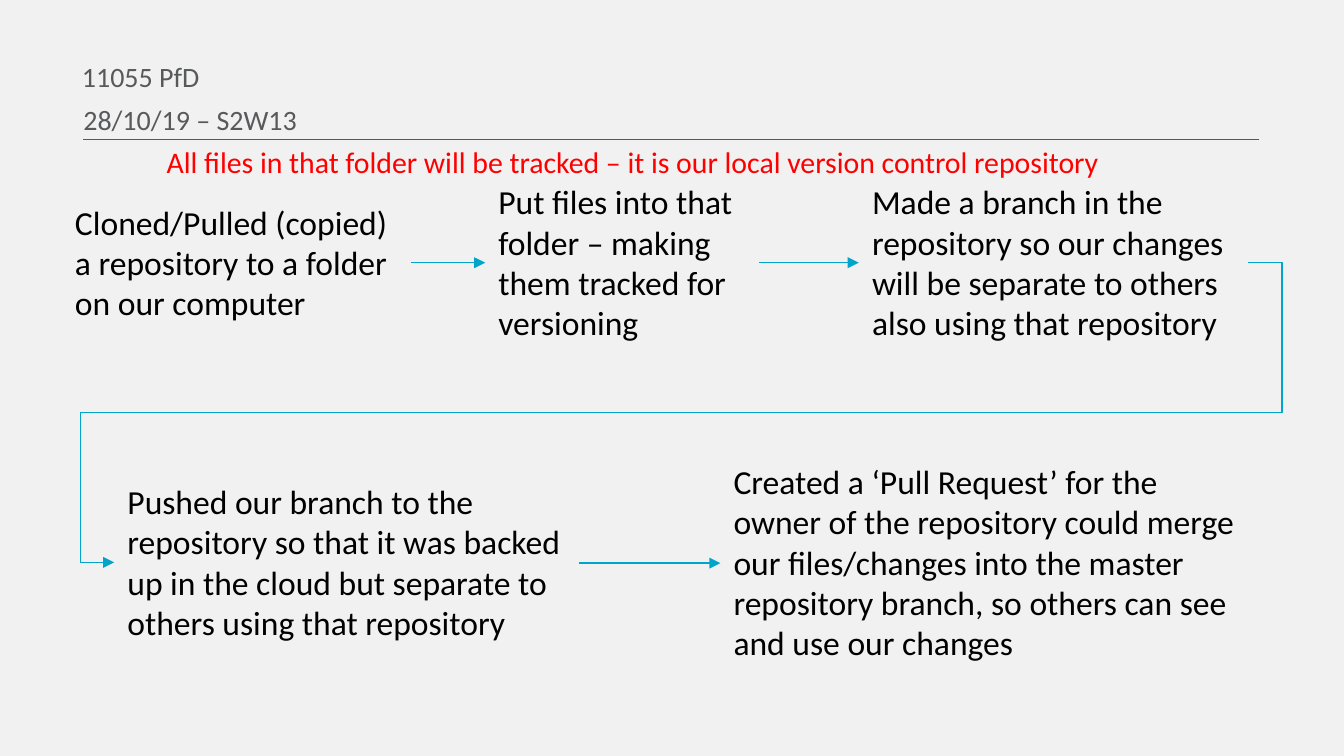
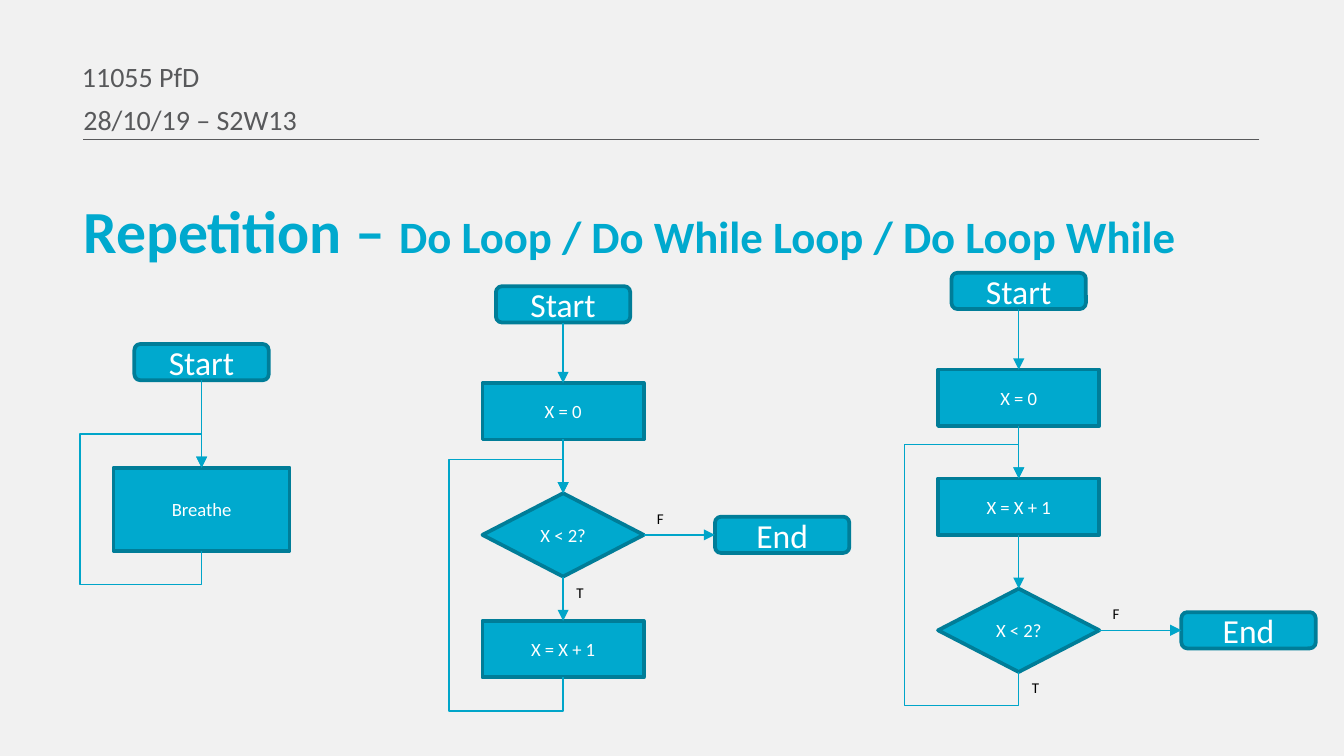
from dataclasses import dataclass

from lxml import etree
from pptx import Presentation
from pptx.dml.color import RGBColor
from pptx.enum import shapes, text
from pptx.oxml import ns
from pptx.util import Inches, Pt


@dataclass(frozen=True)
class Theme:
    font: str = "Calibri"
    back: str = "F1F1F1"
    gray: str = "58595B"
    ink: str = "000000"
    red: str = "FF0000"
    white: str = "FFFFFF"
    fill: str = "00A9CE"
    edge: str = "007D98"
    wire: str = "00A5C9"
    head: int = 15
    note: int = 16
    step: int = 18
    title: int = 32
    sub: int = 24
    node: int = 10
    tag: int = 8
    thin: float = 0.75
    thick: float = 2


THEME = Theme()
STUB = 0.25
KINDS = shapes.MSO_SHAPE


@dataclass(frozen=True)
class Box:
    left: float
    top: float
    width: float
    height: float

    @property
    def right(self) -> float:
        return self.left + self.width

    @property
    def base(self) -> float:
        return self.top + self.height

    @property
    def mid(self) -> float:
        return self.top + self.height / 2

    @property
    def area(self) -> list:
        return [Inches(n) for n in (self.left, self.top, self.width, self.height)]


@dataclass(frozen=True)
class Span:
    words: str
    size: int
    color: str
    bold: bool = False


@dataclass(frozen=True)
class Form:
    kind: int
    width: float
    height: float
    size: int


PILL = Form(KINDS.ROUNDED_RECTANGLE, 1, 0.27, THEME.step)
TASK = Form(KINDS.RECTANGLE, 1.2, 0.42, THEME.node)
WIDE = Form(KINDS.RECTANGLE, 1.31, 0.62, THEME.node)
TEST = Form(KINDS.DIAMOND, 1.2, 0.62, THEME.node)


@dataclass(frozen=True)
class Node:
    words: str
    top: float
    form: Form


@dataclass(frozen=True)
class Flow:
    axis: float
    nodes: tuple
    back: int
    exit: float = 0


STEPS = (
    (Box(0.46, 1.45, 2.6, 1.01),
     "Cloned/Pulled (copied) a repository to a folder on our computer"),
    (Box(3.61, 1.3, 2.04, 1.31),
     "Put files into that folder – making them tracked for versioning"),
    (Box(6.39, 1.3, 2.9, 1.31),
     "Made a branch in the repository so our changes will be separate "
     "to others also using that repository"),
    (Box(0.85, 3.53, 3.46, 1.31),
     "Pushed our branch to the repository so that it was backed up in "
     "the cloud but separate to others using that repository"),
    (Box(5.36, 3.38, 3.94, 1.62),
     "Created a ‘Pull Request’ for the owner of the repository could merge "
     "our files/changes into the master repository branch, so others can "
     "see and use our changes"),
)

FLOWS = (
    Flow(1.5, (Node("Start", 2.56, PILL), Node("Breathe", 3.48, WIDE)), 1),
    Flow(4.19, (Node("Start", 2.13, PILL), Node("X = 0", 2.85, TASK),
                Node("X < 2?", 3.67, TEST), Node("X = X + 1", 4.62, TASK)), 2, 5.32),
    Flow(7.58, (Node("Start", 2.03, PILL), Node("X = 0", 2.75, TASK),
                Node("X = X + 1", 3.56, TASK), Node("X < 2?", 4.38, TEST)), 2, 8.79),
)


def paint(run, size: int, color: str, bold: bool = False) -> None:
    run.font.name = THEME.font
    run.font.size = Pt(size)
    run.font.bold = bold
    run.font.color.rgb = RGBColor.from_string(color)


def stroke(item, color: str, width: float, arrow: bool = False) -> None:
    item.line.color.rgb = RGBColor.from_string(color)
    item.line.width = Pt(width)
    prop = item._element.spPr
    if arrow:
        line = prop.find(ns.qn("a:ln"))
        etree.SubElement(line, ns.qn("a:tailEnd"), type="triangle")
    if prop.find(ns.qn("a:effectLst")) is None:
        etree.SubElement(prop, ns.qn("a:effectLst"))


def wire(slide, start: tuple, end: tuple, color: str = THEME.wire,
         arrow: bool = True) -> None:
    ends = [Inches(n) for n in start + end]
    item = slide.shapes.add_connector(shapes.MSO_CONNECTOR.STRAIGHT, *ends)
    stroke(item, color, THEME.thin, arrow)


def bend(slide, *spots: tuple) -> None:
    first, *rest = [(Inches(x), Inches(y)) for x, y in spots]
    pen = slide.shapes.build_freeform(*first)
    pen.add_line_segments(rest, close=False)
    item = pen.convert_to_shape()
    item.fill.background()
    stroke(item, THEME.wire, THEME.thin, True)


def label(slide, box: Box, words: str, size: int) -> None:
    frame = slide.shapes.add_textbox(*box.area).text_frame
    frame.word_wrap = True
    frame.auto_size = text.MSO_AUTO_SIZE.SHAPE_TO_FIT_TEXT
    frame.text = words
    paint(frame.paragraphs[0].runs[0], size, THEME.ink)


def place(holder, box: Box, *spans: Span, lead: float = 1, gap: float = 0) -> None:
    holder.left, holder.top, holder.width, holder.height = box.area
    frame = holder.text_frame
    frame.word_wrap = True
    frame.auto_size = text.MSO_AUTO_SIZE.NONE
    frame.vertical_anchor = text.MSO_ANCHOR.TOP
    para = frame.paragraphs[0]
    para.alignment = text.PP_ALIGN.LEFT
    para.line_spacing = lead
    para.space_before = Pt(gap)
    prop = para._p.get_or_add_pPr()
    prop.set("marL", "0")
    prop.set("indent", "0")
    etree.SubElement(prop, ns.qn("a:buNone"))
    for span in spans:
        run = para.add_run()
        run.text = span.words
        paint(run, span.size, span.color, span.bold)


def page(deck):
    slide = deck.slides.add_slide(deck.slide_layouts.get_by_name("Two Content"))
    wire(slide, (9.37, 1.04), (0.62, 1.04), THEME.gray, False)
    heads = (("11055 PfD", Box(0.51, 0.39, 6.98, 0.25)),
             ("28/10/19 – S2W13", Box(0.52, 0.71, 6.97, 0.23)))
    for slot, (words, box) in enumerate(heads, 1):
        place(slide.placeholders[slot], box,
              Span(words, THEME.head, THEME.gray), gap=THEME.head / 5)
    return slide


def draw(slide, box: Box, node: Node) -> None:
    item = slide.shapes.add_shape(node.form.kind, *box.area)
    item.shadow.inherit = False
    item.fill.solid()
    item.fill.fore_color.rgb = RGBColor.from_string(THEME.fill)
    stroke(item, THEME.edge, THEME.thick)
    frame = item.text_frame
    frame.text = node.words
    frame.vertical_anchor = text.MSO_ANCHOR.MIDDLE
    para = frame.paragraphs[0]
    para.alignment = text.PP_ALIGN.CENTER
    paint(para.runs[0], node.form.size, THEME.white)


def chart(slide, flow: Flow) -> None:
    axis = flow.axis
    boxes = [Box(axis - n.form.width / 2, n.top, n.form.width, n.form.height)
             for n in flow.nodes]
    for box, node in zip(boxes, flow.nodes):
        draw(slide, box, node)
        if node.form is TEST:
            leave = Box(flow.exit, box.mid - PILL.height / 2, PILL.width, PILL.height)
            draw(slide, leave, Node("End", leave.top, PILL))
            wire(slide, (box.right, box.mid), (leave.left, box.mid))
            label(slide, Box(axis, box.base, 0.34, 0.24), "T", THEME.tag)
            label(slide, Box(box.right, box.mid - 0.24, 0.34, 0.24), "F", THEME.tag)
    for above, below in zip(boxes, boxes[1:]):
        wire(slide, (axis, above.base), (axis, below.top))
    last, goal = boxes[-1], boxes[flow.back]
    side, low, high = last.left - STUB, last.base + STUB, goal.top - STUB
    bend(slide, (axis, last.base), (axis, low), (side, low),
         (side, high), (axis, high), (axis, goal.top))


def review(deck) -> None:
    slide = page(deck)
    place(slide.shapes.title, Box(1.14, 1.02, 8.1, 0.37),
          Span("All files in that folder will be tracked – it is our local "
               "version control repository", THEME.note, THEME.red))
    for box, words in STEPS:
        label(slide, box, words, THEME.step)
    boxes = [box for box, _ in STEPS]
    for one, two in zip(boxes, boxes[1:]):
        start, end = (one.right, one.mid), (two.left, two.mid)
        if two.left > one.right:
            wire(slide, (one.right, two.mid), end)
        else:
            far, near = one.right + STUB, two.left - STUB
            half = (one.mid + two.mid) / 2
            bend(slide, start, (far, one.mid), (far, half),
                 (near, half), (near, two.mid), end)


def loops(deck) -> None:
    slide = page(deck)
    place(slide.shapes.title, Box(0.52, 1.54, 8.86, 0.42),
          Span("Repetition – ", THEME.title, THEME.fill, True),
          Span("Do Loop / Do While Loop / Do Loop While", THEME.sub, THEME.fill, True),
          lead=0.7, gap=THEME.title / 5)
    for flow in FLOWS:
        chart(slide, flow)


def main() -> None:
    deck = Presentation()
    deck.slide_width = Inches(10)
    deck.slide_height = Inches(10 * 9 / 16)
    fill = deck.slide_master.background.fill
    fill.solid()
    fill.fore_color.rgb = RGBColor.from_string(THEME.back)
    review(deck)
    loops(deck)
    deck.save("out.pptx")


if __name__ == "__main__":
    main()
